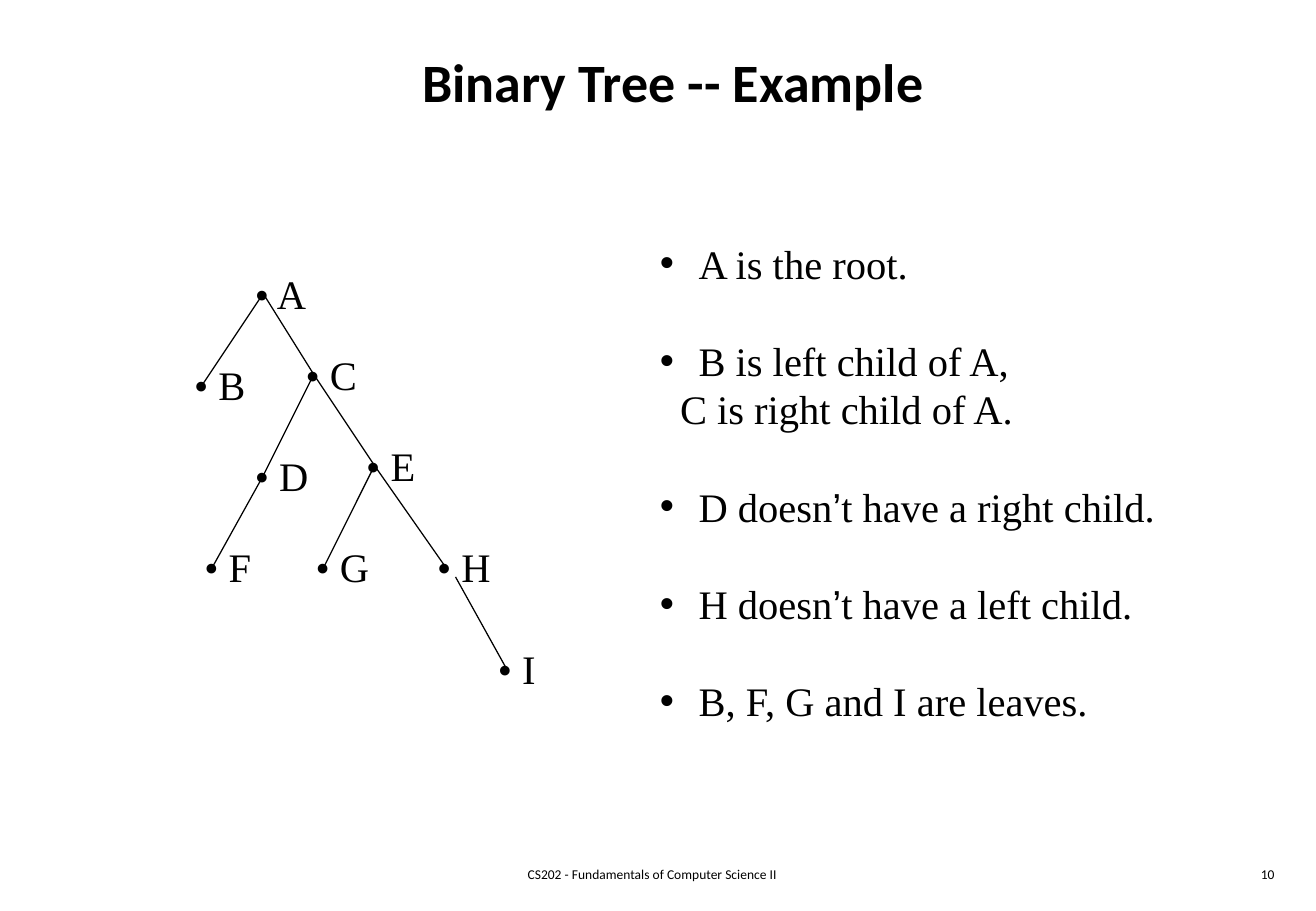
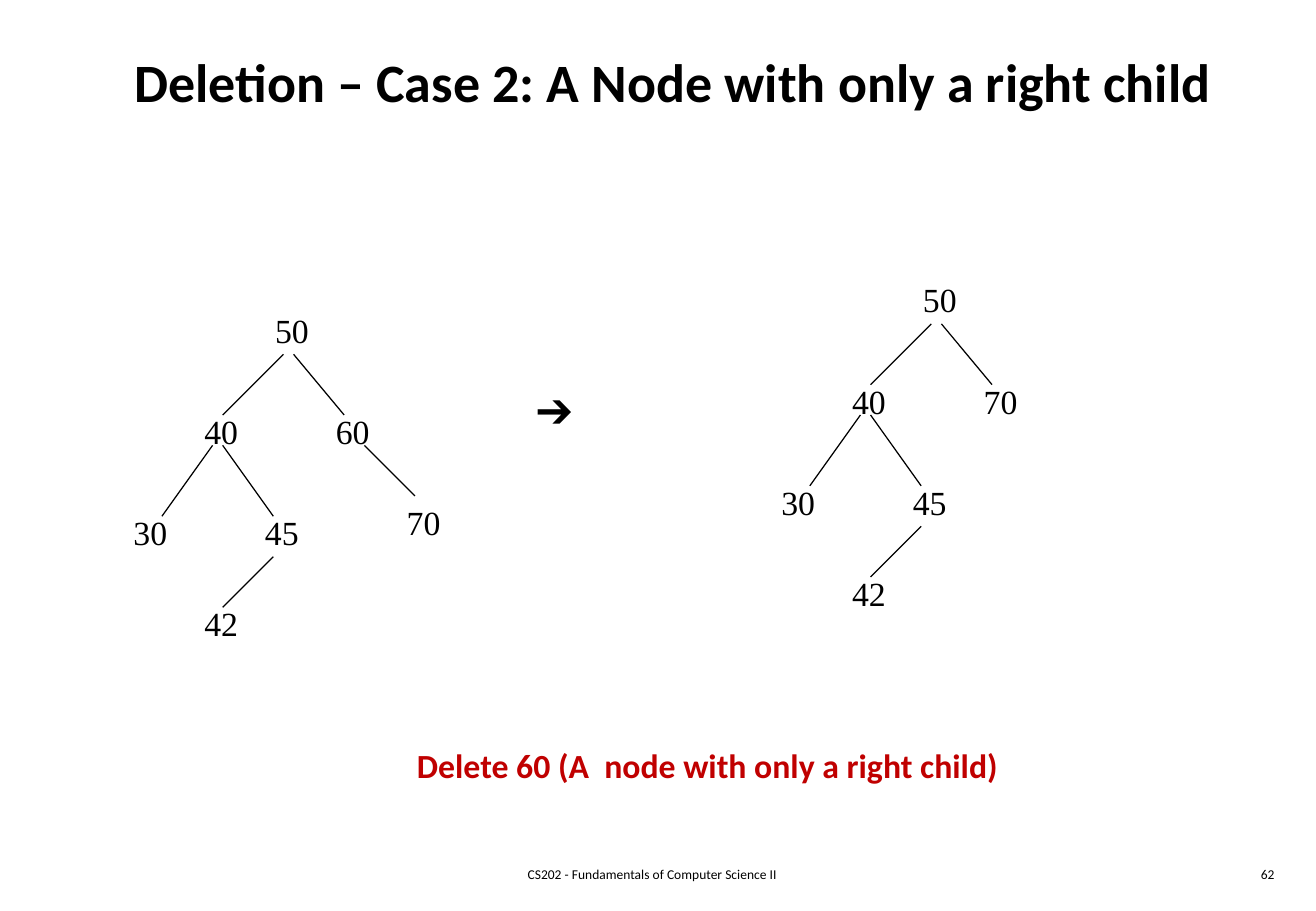
import pptx
import pptx.dml.color
import pptx.enum.shapes
import pptx.enum.text
import pptx.util
from lxml import etree

ALIGN = pptx.enum.text.PP_ALIGN
ANCHOR = pptx.enum.text.MSO_ANCHOR
COLUMNS, ROWS = 130, 90


def grid(cells):
    """Length of a number of grid cells, twelve to the inch."""
    return pptx.util.Inches(cells / 12)


def color(value):
    return pptx.dml.color.RGBColor.from_string(value)


def add_element(parent, tag, **attributes):
    return etree.SubElement(parent, pptx.oxml.ns.qn(tag), **attributes)


class Deck:
    INK, ACCENT = "000000", "C00000"
    SANS, SERIF, QUOTE = "Calibri", "Times New Roman", "Arial"
    FOOTER = "CS202 - Fundamentals of Computer Science II"
    LEADING = 1.2

    def __init__(self):
        self.presentation = pptx.Presentation()
        self.presentation.slide_width = grid(COLUMNS)
        self.presentation.slide_height = grid(ROWS)
        self.slide = None

    def start_slide(self, title, number):
        layout = self.presentation.slide_layouts[6]
        self.slide = self.presentation.slides.add_slide(layout)
        self.text(self.FOOTER, 40.1, 85, 48.7, 3, 8, self.SANS, align=ALIGN.CENTER)
        self.text(str(number), 100, 85, 27.1, 3, 8, self.SANS, align=ALIGN.RIGHT)
        self.text(title, 5, 2, 123, 12, 32, self.SANS, bold=True,
                  align=ALIGN.CENTER, anchor=ANCHOR.MIDDLE)

    def frame(self, column, row, width, height):
        box = self.slide.shapes.add_textbox(*map(grid, (column, row, width, height)))
        box.text_frame.word_wrap = True
        return box.text_frame

    def style(self, paragraph, size, font, ink=INK, bold=False):
        paragraph.font.size = pptx.util.Pt(size)
        paragraph.font.name = font
        paragraph.font.bold = bold
        paragraph.font.color.rgb = color(ink)
        if font == self.SERIF:
            paragraph.line_spacing = pptx.util.Pt(size * self.LEADING)

    def text(self, words, column, row, width, height, size, font=SERIF,
             ink=INK, bold=False, align=ALIGN.LEFT, anchor=ANCHOR.TOP):
        frame = self.frame(column, row, width, height)
        frame.vertical_anchor = anchor
        paragraph = frame.paragraphs[0]
        paragraph.text = words
        paragraph.alignment = align
        self.style(paragraph, size, font, ink, bold)

    def bullets(self, items, column, row, width, height, size):
        """Bulleted items; later lines of an item are indented without a bullet."""
        frame = self.frame(column, row, width, height)
        paragraph = frame.paragraphs[0]
        for item_index, lines in enumerate(items):
            for line_index, line in enumerate(lines):
                if item_index or line_index:
                    paragraph = frame.add_paragraph()
                indent = pptx.util.Pt(12 if line_index else 23)
                properties = paragraph._p.get_or_add_pPr()
                properties.set("marL", str(indent))
                if line_index == 0:
                    properties.set("indent", str(-indent))
                    add_element(properties, "a:buFont", typeface="Arial")
                    add_element(properties, "a:buChar", char="•")
                    if item_index:
                        paragraph.space_before = pptx.util.Pt(size * self.LEADING)
                self.style(paragraph, size, self.SERIF)
                for part_index, part in enumerate(line.split("’")):
                    if part_index:
                        quote = paragraph.add_run()
                        quote.text = "’"
                        quote.font.name = self.QUOTE
                    paragraph.add_run().text = part

    def line(self, start, end):
        connector = self.slide.shapes.add_connector(
            pptx.enum.shapes.MSO_CONNECTOR.STRAIGHT, *map(grid, (*start, *end)))
        connector.line.color.rgb = color(self.INK)
        connector.line.width = pptx.util.Pt(0.75)
        add_element(connector._element.spPr, "a:effectLst")

    def dotted_tree(self, nodes, edges):
        """Tree whose nodes give the grid points of their dots."""
        for parent, child in edges:
            self.line(nodes[parent], nodes[child])
        for name, (column, row) in nodes.items():
            self.text(f"• {name}", column - 2, row - 3, 9, 6, 24)

    def number_tree(self, origin, labels, edges):
        """Tree whose labels and edges are offsets from the root label."""
        left, top = origin
        for x1, y1, x2, y2 in edges:
            self.line((left + x1, top + y1), (left + x2, top + y2))
        for label, column, row in labels:
            self.text(label, left + column, top + row, 6, 5, 20)


def binary_tree_slide(deck):
    deck.start_slide("Binary Tree -- Example", 10)
    nodes = {"A": (26, 29), "B": (20, 38), "C": (31, 37), "D": (26, 47),
             "E": (37, 46), "F": (21, 56), "G": (32, 56), "H": (44, 56),
             "I": (50, 66)}
    deck.dotted_tree(nodes, ["AB", "AC", "CD", "CE", "DF", "EG", "EH"])
    deck.line((45, 57), nodes["I"])
    deck.bullets([
        ["A is the root."],
        ["B is left child of A,", "C is right child of A."],
        ["D doesn’t have a right child."],
        ["H doesn’t have a left child."],
        ["B, F, G and I are leaves."],
    ], 64, 23, 60, 54.5, 24)


def deletion_slide(deck):
    deck.start_slide("Deletion – Case 2: A Node with only a right child", 62)
    labels = [("50", 0, 0), ("40", -7, 10), ("30", -14, 20),
              ("45", -1, 20), ("42", -7, 29)]
    edges = [(2, 5, -4, 11), (3, 5, 8, 11), (-4, 14, 1, 21),
             (-5, 14, -10, 21), (1, 25, -4, 30)]
    deck.number_tree((26, 30), labels + [("60", 6, 10), ("70", 13, 19)],
                     edges + [(10, 14, 15, 19)])
    deck.number_tree((90, 27), labels + [("70", 6, 10)], edges)
    deck.text("➔", 51.8, 37.5, 7, 6, 24)
    deck.text("Delete 60 (A  node with only a right child)", 40, 73, 64, 5.25, 20,
              deck.SANS, deck.ACCENT, bold=True)


def main():
    deck = Deck()
    binary_tree_slide(deck)
    deletion_slide(deck)
    deck.presentation.save("out.pptx")


if __name__ == "__main__":
    main()
